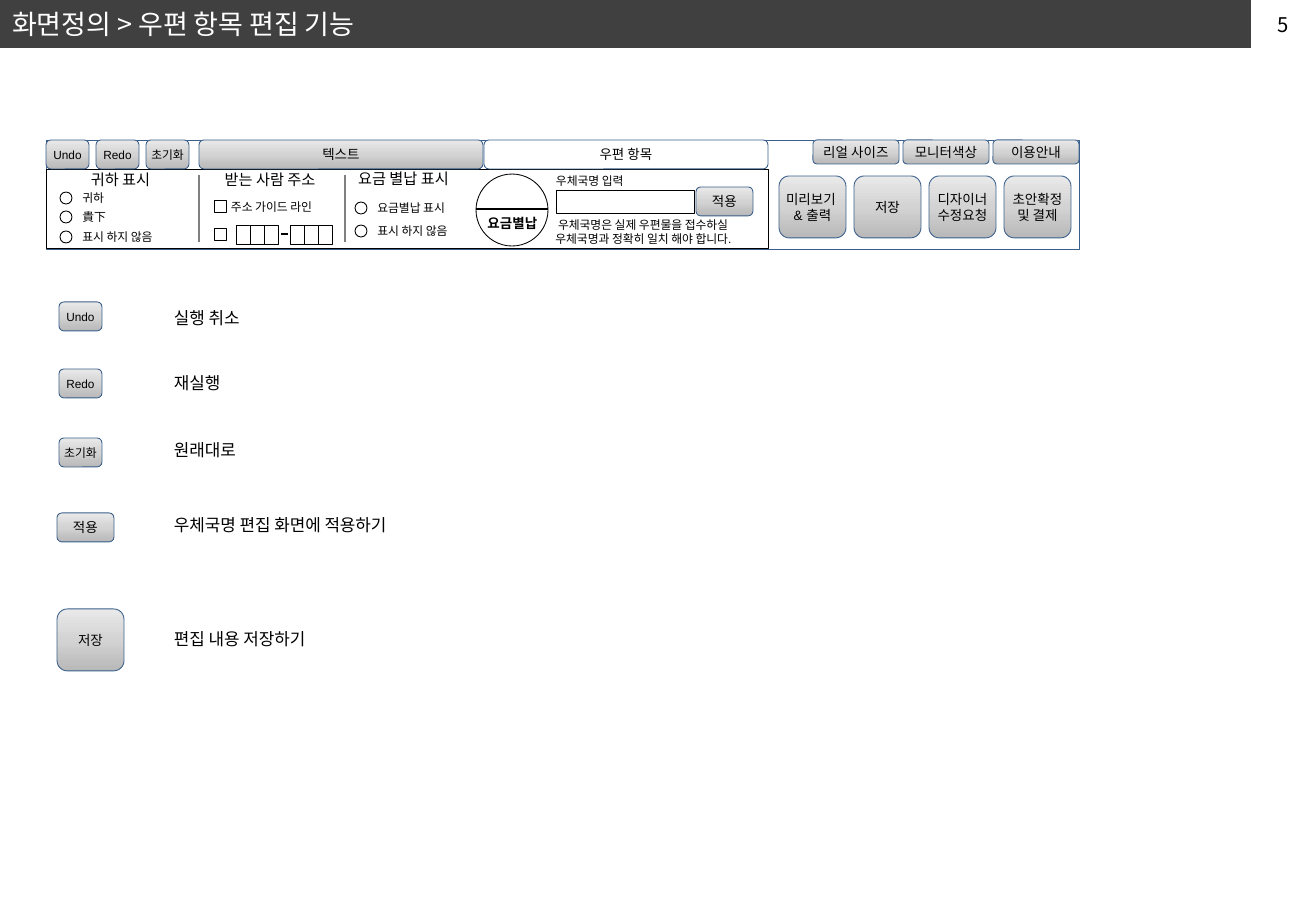
from copy import deepcopy

from lxml import etree
from pptx import Presentation
from pptx.dml.color import RGBColor
from pptx.enum.shapes import MSO_CONNECTOR, MSO_SHAPE
from pptx.enum.text import MSO_ANCHOR, PP_ALIGN
from pptx.oxml.ns import qn
from pptx.util import Pt

RECT, ROUND, OVAL = MSO_SHAPE.RECTANGLE, MSO_SHAPE.ROUNDED_RECTANGLE, MSO_SHAPE.OVAL
STRAIGHT = MSO_CONNECTOR.STRAIGHT
MIDDLE, TOP = MSO_ANCHOR.MIDDLE, MSO_ANCHOR.TOP
LEFT, CENTER = PP_ALIGN.LEFT, PP_ALIGN.CENTER
PX = 914400 / 121.5
BODY, HEADING = "Arial", "Noto Sans CJK KR"
COLORS = {
    "bar": "404040", "white": "FFFFFF", "black": "000000", "blue": "3A5F8C",
    "gray": "808080", "dark": "B8B8B8", "mid": "D3D3D3", "light": "E9E9E9",
}


def color(name):
    """Return the named colour."""
    return RGBColor.from_string(COLORS[name])


def px(*lengths):
    """Turn pixel lengths into EMU."""
    return [round(length * PX) for length in lengths]


prs = Presentation()
prs.slide_width, prs.slide_height = px(1316, 911)
slide = prs.slides.add_slide(prs.slide_layouts[5])
shapes = slide.shapes

title = shapes.title
title.left, title.top, title.width, title.height = px(0, 0, 1251, 48)
title.fill.solid()
title.fill.fore_color.rgb = color("bar")
title.text_frame.text = "화면정의 > 우편 항목 편집 기능"

# Each box: shape, place, fill, line, text, size, alignment
boxes = [
    (RECT, (46, 140, 1033, 109), "white", "blue", "", 8, CENTER),
    (RECT, (46, 169, 722, 80), "white", "black", "", 8, CENTER),
    (RECT, (556, 190, 138, 24), "white", "black", "", 8, CENTER),
    (OVAL, (476, 174, 72, 72), "white", "black", "", 8, CENTER),
    (ROUND, (81, 165, 79, 29), None, None, "귀하 표시", 9, CENTER),
    (ROUND, (194, 165, 152, 29), None, None, "받는 사람 주소", 9, CENTER),
    (ROUND, (345, 164, 117, 29), None, None, "요금 별납 표시", 9, CENTER),
    (ROUND, (473, 209, 79, 29), None, None, "요금별납", 8, CENTER),
    (ROUND, (552, 166, 91, 29), None, None, " 우체국명 입력", 7, LEFT),
    (ROUND, (554, 217, 198, 29), None, None,
     " 우체국명은 실제 우편물을 접수하실 우체국명과 정확히 일치 해야 합니다.", 7, LEFT),
    (ROUND, (227, 192, 111, 29), None, None, " 주소 가이드 라인", 7, LEFT),
    (ROUND, (199, 140, 284, 29), "button", "blue", "텍스트", 8, CENTER),
    (ROUND, (484, 140, 284, 29), "white", "blue", "우편 항목", 8, CENTER),
    (ROUND, (696, 187, 57, 29), "button", "blue", "적용", 8, CENTER),
]
for i, name in enumerate(["Undo", "Redo", "초기화"]):
    boxes.append((ROUND, (46 + 50 * i, 140, 43, 29), "button", "blue", name, 7, CENTER))
for i, name in enumerate(["리얼 사이즈", "모니터색상", "이용안내"]):
    boxes.append((ROUND, (813 + 90 * i, 140, 86, 24), "button", "blue", name, 8, CENTER))
for i, name in enumerate(["미리보기 \n& 출력", "저장", "디자이너\n수정요청", "초안확정\n및 결제"]):
    boxes.append((ROUND, (779 + 75 * i, 176, 67, 62), "button", "blue", name, 8, CENTER))

options = [
    (60, 192, "귀하"), (60, 211, "貴下"), (60, 231, "표시 하지 않음"),
    (355, 202, "요금별납 표시"), (355, 225, "표시 하지 않음"),
]
for left, top, name in options:
    boxes.append((OVAL, (left, top, 12, 12), "white", "black", "", 7, LEFT))
    boxes.append((ROUND, (left + 21, top - 9, 109, 29), None, None, name, 7, LEFT))
for top in (200, 228):
    boxes.append((RECT, (214, top, 12, 12), "white", "black", "", 7, LEFT))
for group_left in (236, 290):
    for i in range(3):
        boxes.append((RECT, (group_left + 14 * i, 225, 14, 19), "white", "black", "", 7, LEFT))

legend = [
    (59, 302, 43, 29, "Undo", 7, 302, "실행 취소"),
    (59, 369, 43, 29, "Redo", 7, 367, "재실행"),
    (59, 438, 43, 29, "초기화", 7, 434, "원래대로"),
    (57, 513, 57, 29, "적용", 8, 509, "우체국명 편집 화면에 적용하기"),
    (57, 609, 67, 62, "저장", 8, 623, "편집 내용 저장하기"),
]
for *place, name, size, _, _ in legend:
    boxes.append((ROUND, place, "button", "blue", name, size, CENTER))

# Each styled text: shape, font, size, colour, alignment, anchor
texts = [(title, HEADING, 16, "white", LEFT, MIDDLE)]
for kind, place, fill, line, text, size, align in boxes:
    box = shapes.add_shape(kind, *px(*place))
    box.shadow.inherit = False
    if fill == "button":
        box.fill.gradient()
        box.fill.gradient_angle = 90
        first, last = box.fill.gradient_stops
        first.color.rgb, last.color.rgb = color("dark"), color("light")
        stops = box._element.spPr.find(qn("a:gradFill")).find(qn("a:gsLst"))
        middle_stop = deepcopy(stops[0])
        middle_stop.set("pos", "50000")
        middle_stop[0].set("val", COLORS["mid"])
        stops.insert(1, middle_stop)
    elif fill:
        box.fill.solid()
        box.fill.fore_color.rgb = color(fill)
    else:
        box.fill.background()
    if line:
        box.line.color.rgb = color(line)
        box.line.width = Pt(0.5)
    else:
        box.line.fill.background()
    if text:
        box.text_frame.text = text
        box.text_frame.margin_left = box.text_frame.margin_right = 0
        texts.append((box, BODY, size, "black", align, MIDDLE))

rules = [
    (199, 175, 199, 242, "gray"), (345, 175, 345, 242, "gray"),
    (476, 209, 548, 209, "black"), (281, 234, 288, 234, "black"),
]
for *ends, name in rules:
    rule = shapes.add_connector(STRAIGHT, *px(*ends))
    rule.line.color.rgb = color(name)
    rule.line.width = Pt(0.75)
    etree.SubElement(rule._element.spPr, qn("a:effectLst"))

page_number = shapes.add_textbox(*px(1251, 0, 65, 48))
page_number.text_frame.text = "5"
page_number.text_frame.word_wrap = True
texts.append((page_number, HEADING, 12, "black", CENTER, MIDDLE))
for *_, top, meaning in legend:
    description = shapes.add_textbox(*px(162, top, 264, 33))
    description.text_frame.text = meaning
    description.text_frame.word_wrap = False
    texts.append((description, HEADING, 10, "black", LEFT, TOP))

for shape, font, size, name, align, anchor in texts:
    shape.text_frame.vertical_anchor = anchor
    for paragraph in shape.text_frame.paragraphs:
        paragraph.alignment = align
        for run in paragraph.runs:
            run.font.name = font
            run.font.size = Pt(size)
            run.font.color.rgb = color(name)
            run.font.bold = run.text == "요금별납"

prs.save("out.pptx")
